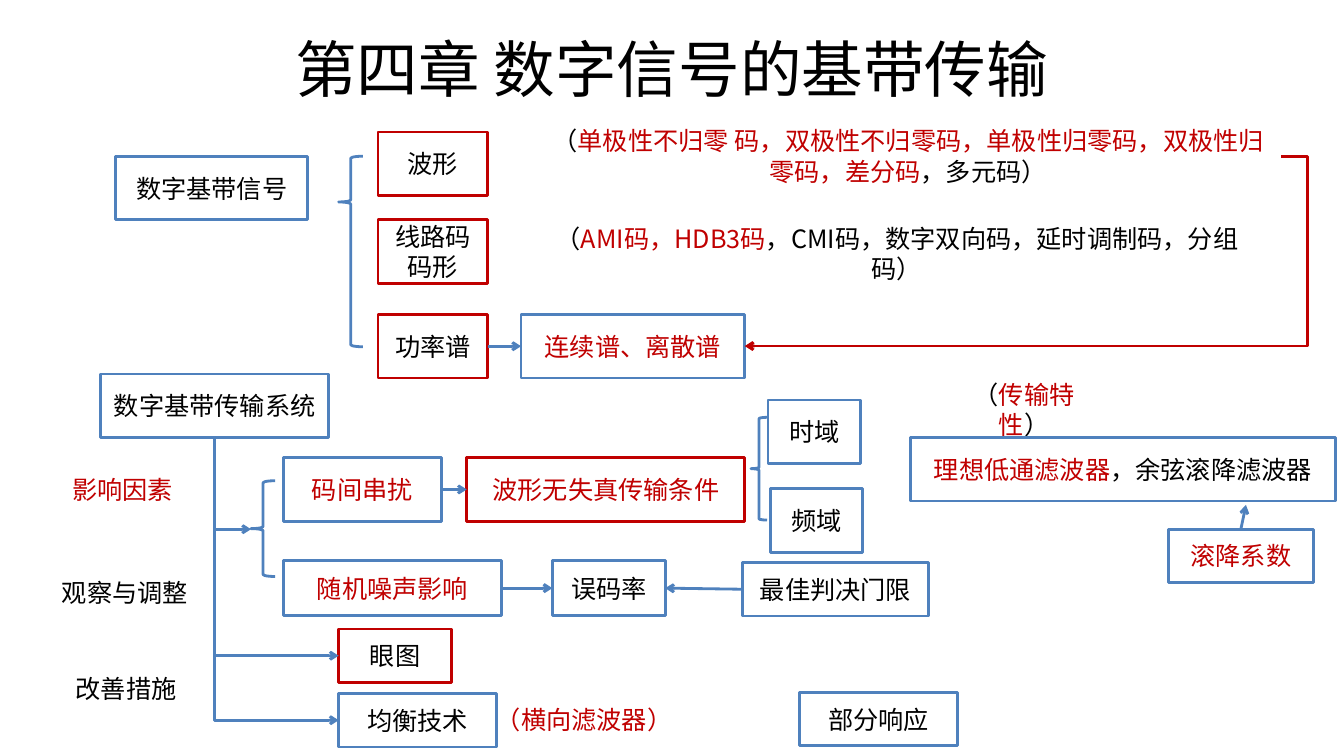
from dataclasses import dataclass

from lxml.etree import SubElement
from pptx import Presentation
from pptx.dml.color import RGBColor
from pptx.enum.shapes import MSO_CONNECTOR, MSO_SHAPE
from pptx.enum.text import MSO_ANCHOR, PP_ALIGN
from pptx.oxml.ns import qn
from pptx.util import Pt

FONT = "Noto Sans CJK SC"
COLOURS = {"black": "000000", "red": "C00000", "blue": "4F81BD"}
ROW = 45.4  # usual box height
LOW = 38.2  # height of the flatter boxes
MID = 39.6  # height of the noise row


@dataclass
class Label:
    """Text in a frame; an empty outline means a plain text box."""
    spans: list[tuple[str, str]]
    left: float
    top: float
    width: float
    height: float = ROW
    outline: str = ""


@dataclass
class Brace:
    left: float
    top: float
    width: float
    height: float
    point: float = 0.5


@dataclass
class Elbow:
    start: tuple[float, float]
    end: tuple[float, float]
    bend: float = 0
    colour: str = "blue"


def colour(name: str) -> RGBColor:
    return RGBColor.from_string(COLOURS[name])


def write(frame, spans: list[tuple[str, str]], size: float) -> None:
    frame.word_wrap = True
    frame.vertical_anchor = MSO_ANCHOR.MIDDLE
    para = frame.paragraphs[0]
    para.alignment = PP_ALIGN.CENTER
    base = spans[0][1]
    para.font.name = FONT
    para.font.size = Pt(size)
    para.font.color.rgb = colour(base)
    # East Asian typeface follows the Latin one
    latin = para._p.pPr.find(qn("a:defRPr")).find(qn("a:latin"))
    east = SubElement(latin.getparent(), qn("a:ea"), typeface=FONT)
    latin.addnext(east)
    for text, name in spans:
        span = para.add_run()
        span.text = text
        if name != base:
            span.font.color.rgb = colour(name)


def style_line(shape, name: str) -> None:
    shape.line.color.rgb = colour(name)
    shape.line.width = Pt(2)


def add_label(page, label: Label):
    place = [Pt(v) for v in (label.left, label.top, label.width, label.height)]
    if label.outline:
        box = page.shapes.add_shape(MSO_SHAPE.RECTANGLE, *place)
        box.shadow.inherit = False
        box.fill.background()
        style_line(box, label.outline)
    else:
        box = page.shapes.add_textbox(*place)
    write(box.text_frame, label.spans, 18)
    return box


def add_brace(page, brace: Brace) -> None:
    place = [Pt(v) for v in (brace.left, brace.top, brace.width, brace.height)]
    shape = page.shapes.add_shape(MSO_SHAPE.LEFT_BRACE, *place)
    shape.shadow.inherit = False
    shape.fill.background()
    shape.adjustments[1] = brace.point
    style_line(shape, "blue")


def add_arrow(page, kind, start, end, name: str = "blue"):
    arrow = page.shapes.add_connector(kind, *[Pt(v) for v in (*start, *end)])
    style_line(arrow, name)
    SubElement(arrow.line._get_or_add_ln(), qn("a:tailEnd"), type="arrow")
    SubElement(arrow._element.spPr, qn("a:effectLst"))
    return arrow


def add_elbow(page, elbow: Elbow) -> None:
    arrow = add_arrow(page, MSO_CONNECTOR.ELBOW, elbow.start, elbow.end, elbow.colour)
    geometry = arrow._element.spPr.find(qn("a:prstGeom"))
    guides = geometry.find(qn("a:avLst"))
    if guides is None:
        guides = SubElement(geometry, qn("a:avLst"))
    SubElement(guides, qn("a:gd"), name="adj1", fmla=f"val {round(elbow.bend * 100000)}")


def black(text: str) -> list[tuple[str, str]]:
    return [(text, "black")]


def red(text: str) -> list[tuple[str, str]]:
    return [(text, "red")]


LABELS = {
    # Baseband signal
    "signal": Label(black("数字基带信号"), 82.8, 111.6, 136.8, outline="blue"),
    "waveform": Label(black("波形"), 270, 94.3, 78.5, outline="red"),
    "line code": Label(black("线路码码形"), 270, 157, 78.5, outline="red"),
    "power": Label(black("功率谱"), 270, 224.6, 78.5, outline="red"),
    "spectra": Label(red("连续谱、离散谱"), 372.2, 224.6, 159.8, outline="blue"),
    "waveform list": Label(
        black("（") + red("单极性不归零 码，双极性不归零码，单极性归零码，双极性归零码，差分码")
        + black("，多元码）"), 383, 88.6, 531.4),
    "code list": Label(
        black("（") + red("AMI码，HDB3码")
        + black("，CMI码，数字双向码，延时调制码，分组码）"), 372.2, 158.4, 537.1),
    # Transmission system
    "system": Label(black("数字基带传输系统"), 72, 267.1, 162.7, outline="blue"),
    "factors": Label(red("影响因素"), 43.2, 326.9, 88.6),
    "observe": Label(black("观察与调整"), 30.2, 400.3, 118.1),
    "improve": Label(black("改善措施"), 40.3, 469.4, 99.4),
    # Intersymbol interference
    "interference": Label(red("码间串扰"), 202.3, 326.9, 113, outline="blue"),
    "condition": Label(red("波形无失真传输条件"), 333.4, 326.9, 198.7, outline="red"),
    "time": Label(black("时域"), 548.6, 285.8, 66.2, outline="blue"),
    "frequency": Label(black("频域"), 550.1, 349.2, 66.2, outline="blue"),
    "property": Label(black("（") + red("传输特性") + black("）"), 672.5, 270, 118.1),
    "filters": Label(red("理想低通滤波器") + black("，余弦滚降滤波器"),
                     650.2, 312.5, 303.8, outline="blue"),
    "roll-off": Label(red("滚降系数"), 834.5, 378, 103.7, LOW, "blue"),
    # Noise
    "noise": Label(red("随机噪声影响"), 202.3, 400.3, 156.2, MID, "blue"),
    "error rate": Label(black("误码率"), 394.6, 400.3, 80.6, MID, "blue"),
    "threshold": Label(black("最佳判决门限"), 530.6, 401.8, 132.5, LOW, "blue"),
    # Observation and improvement
    "eye": Label(black("眼图"), 241.9, 449.3, 80.6, LOW, "red"),
    "equaliser": Label(black("均衡技术"), 241.9, 495.4, 113, LOW, "blue"),
    "transversal": Label(red("（横向滤波器）"), 339.1, 491, 156.2),
    "partial": Label(black("部分响应"), 571, 494.6, 113, LOW, "blue"),
}

BRACES = [
    Brace(241.9, 111.6, 17.3, 136.1, 0.24),
    Brace(179.3, 343.4, 17.3, 68.4),
    Brace(536.4, 298.1, 11.5, 73.4),
]

STEM = (153.4, 312.5)  # bottom middle of the system box
ELBOWS = [
    Elbow((915.1, 111.6), (532, 247.2), -0.05, "red"),
    Elbow(STEM, (179.3, 378)),
    Elbow(STEM, (241.9, 468.4)),
    Elbow(STEM, (241.9, 514.5)),
]

# From box, side, to box, side (1 left, 3 right)
LINKS = [
    ("power", 3, "spectra", 1),
    ("interference", 3, "condition", 1),
    ("noise", 3, "error rate", 1),
    ("threshold", 1, "error rate", 3),
]


def main() -> None:
    deck = Presentation()
    deck.slide_width, deck.slide_height = Pt(960), Pt(540)
    page = deck.slides.add_slide(deck.slide_layouts[5])

    # Title
    title = page.shapes.title
    title.left, title.top, title.width, title.height = Pt(48), Pt(3.6), Pt(864), Pt(90)
    write(title.text_frame, black("第四章 数字信号的基带传输"), 44)

    # Boxes and braces
    boxes = {name: add_label(page, label) for name, label in LABELS.items()}
    for brace in BRACES:
        add_brace(page, brace)

    # Arrows
    for elbow in ELBOWS:
        add_elbow(page, elbow)
    for source, source_side, target, target_side in LINKS:
        arrow = add_arrow(page, MSO_CONNECTOR.STRAIGHT, (0, 0), (0, 0))
        arrow.begin_connect(boxes[source], source_side)
        arrow.end_connect(boxes[target], target_side)
    roll_off = add_arrow(page, MSO_CONNECTOR.STRAIGHT, (886.3, 378), (890, 360.7))
    roll_off.begin_connect(boxes["roll-off"], 0)

    deck.save("out.pptx")


if __name__ == "__main__":
    main()
